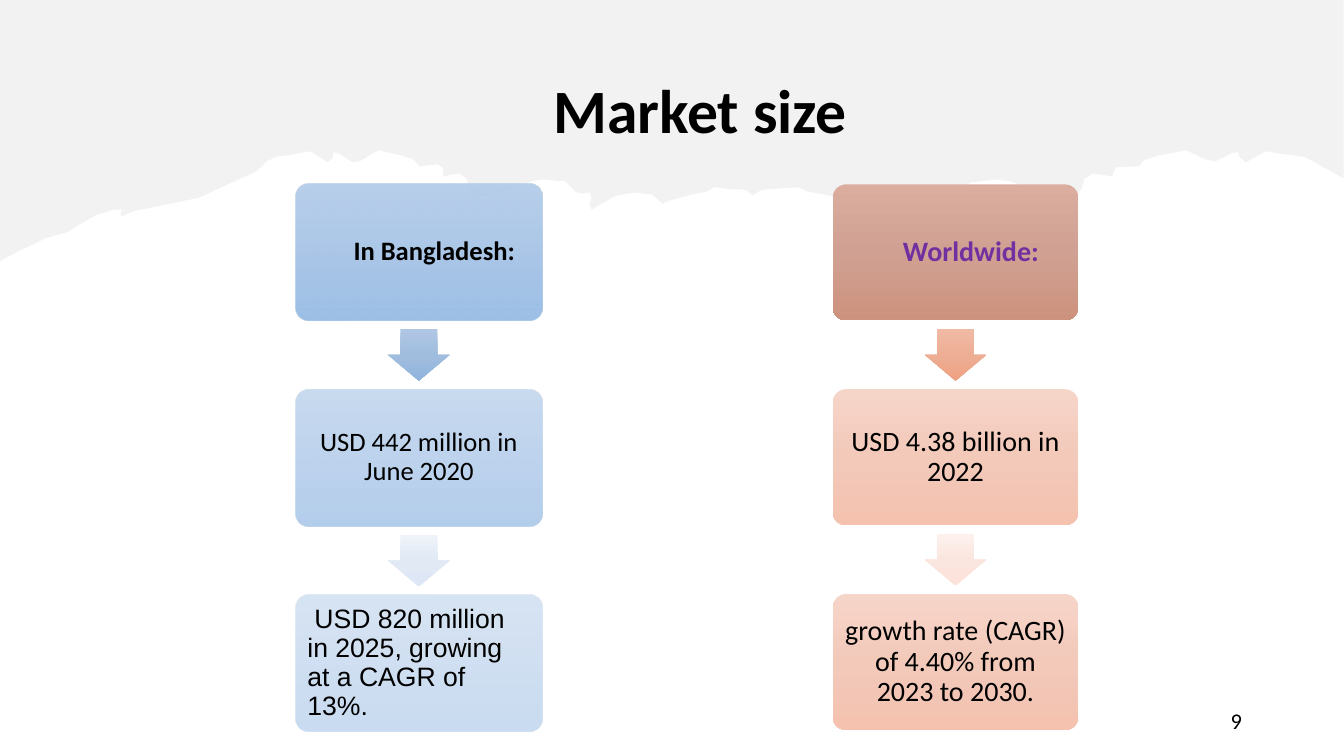
import pptx
import pptx.util
import pptx.dml.color
import pptx.enum.shapes
import pptx.enum.text
import pptx.oxml.ns
from lxml import etree

Pt = pptx.util.Pt
MSO_SHAPE = pptx.enum.shapes.MSO_SHAPE
ALIGN = pptx.enum.text.PP_ALIGN
qn = pptx.oxml.ns.qn

COLORS = {"black": "000000", "purple": "7030A0", "paper": "E7E6E6"}
BLUE = ("B1CBE9", "A3C1E5", "93B9E4")
CLAY = ("DAAD9F", "D0A192", "CD927E")
PEACH = ("F6D5C9", "F3C9BA", "F4C2AF")

INSET = 5.76
HEADING_SHIFT = 22
ARROW_WIDTH, ARROW_HEIGHT = 43.92, 36.72
TITLE = ("Market size", 44, 388.08, 44.64, 571.92, 73.44)
PAGE_NUMBER = ("9", 16, 678.24, 500.4, 216, 28.8)

COLUMNS = [
    {
        "left": 211, "top": 131.1, "width": 176.4, "height": 97.9, "step": 146.9,
        "size": 19, "heading_color": "black",
        "boxes": [
            ("In Bangladesh:", "Calibri", ALIGN.CENTER, BLUE, 90),
            ("USD 442 million in June 2020", "Calibri", ALIGN.CENTER, BLUE, 70),
            ("USD 820 million in 2025, growing at a CAGR of 13%.", "Arial", ALIGN.LEFT, BLUE, 50),
        ],
        "arrows": [("AFC7E4", "A1BDDE", "90B4DD"), ("EEF3F9", "E1E9F5", "DDE7F5")],
    },
    {
        "left": 594.7, "top": 131.7, "width": 175.7, "height": 97.2, "step": 146.3,
        "size": 20, "heading_color": "purple",
        "boxes": [
            ("Worldwide:", "Calibri", ALIGN.CENTER, CLAY, 100),
            ("USD 4.38 billion in 2022", "Calibri", ALIGN.CENTER, PEACH, 100),
            ("growth rate (CAGR) of 4.40% from 2023 to 2030.", "Calibri", ALIGN.CENTER, PEACH, 100),
        ],
        "arrows": [("F1BAA4", "EDAE95", "EFA181"), ("FDF1EE", "FBE6DF", "FCE2DA")],
    },
]

TORN_UNIT = Pt(0.72)
TORN_EDGE = [
    (0, 259), (19, 249), (36, 241), (46, 236), (65, 231), (82, 221), (96, 213), (113, 208),
    (121, 208), (120, 211), (120, 215), (134, 209), (150, 206), (198, 196), (239, 177),
    (254, 170), (261, 164), (264, 160), (269, 158), (275, 155), (286, 154), (308, 150),
    (325, 161), (330, 157), (331, 151), (336, 152), (342, 156), (350, 161), (357, 160),
    (370, 152), (376, 149), (388, 152), (397, 154), (410, 158), (416, 165), (434, 163),
    (440, 167), (440, 175), (455, 172), (463, 177), (466, 187), (471, 196), (502, 191),
    (527, 180), (538, 178), (561, 180), (571, 190), (577, 192), (585, 191), (587, 196),
    (585, 202), (587, 208), (597, 202), (611, 194), (629, 191), (647, 193), (654, 199),
    (657, 202), (664, 199), (686, 193), (701, 190), (708, 186), (713, 186), (724, 188),
    (736, 188), (741, 189), (747, 194), (754, 189), (760, 188), (787, 186), (793, 186),
    (801, 190), (818, 193), (843, 199), (851, 202), (855, 199), (864, 192), (884, 191),
    (905, 194), (921, 202), (933, 208), (934, 202), (932, 196), (934, 191), (944, 192),
    (950, 190), (963, 181), (989, 178), (1002, 180), (1030, 189), (1067, 196), (1073, 187),
    (1076, 177), (1085, 172), (1103, 175), (1107, 166), (1130, 165), (1135, 159), (1150, 154),
    (1162, 152), (1177, 149), (1183, 152), (1196, 158), (1206, 160), (1222, 152), (1228, 151),
    (1230, 156), (1236, 161), (1256, 150), (1273, 153), (1283, 154), (1295, 156), (1310, 164),
    (1328, 174), (1333, 177), (1333, 0), (0, 0),
]


def rgb(value):
    return pptx.dml.color.RGBColor.from_string(value)


def set_opacity(color, percent):
    if percent < 100:
        etree.SubElement(color, qn("a:alpha")).set("val", str(percent * 1000))


def paint_gradient(shape, colors, opacity=100):
    shape.shadow.inherit = False
    shape.line.fill.background()
    shape.fill.gradient()
    shape.fill.gradient_angle = 270
    stops = shape._element.spPr.find(".//" + qn("a:gsLst"))
    for stop in list(stops):
        stops.remove(stop)
    for index, value in enumerate(colors):
        stop = etree.SubElement(stops, qn("a:gs"))
        stop.set("pos", str(index * 50000))
        color = etree.SubElement(stop, qn("a:srgbClr"))
        color.set("val", value)
        set_opacity(color, opacity)


def write(box, text, size, font="Calibri", align=ALIGN.LEFT, color="black", bold=False, spacing=0.9):
    frame = box.text_frame
    frame.word_wrap = True
    frame.vertical_anchor = pptx.enum.text.MSO_ANCHOR.MIDDLE
    para = frame.paragraphs[0]
    para.alignment = align
    para.line_spacing = spacing
    span = para.add_run()
    span.text = text
    span.font.name = font
    span.font.size = Pt(size)
    span.font.bold = bold
    span.font.color.rgb = rgb(COLORS[color])
    return para


def add_label(page, label, **style):
    text, size, *place = label
    box = page.shapes.add_textbox(*map(Pt, place))
    write(box, text, size, **style)


def add_torn_paper(page):
    builder = page.shapes.build_freeform(*TORN_EDGE[0], scale=TORN_UNIT)
    builder.add_line_segments(TORN_EDGE[1:], close=True)
    paper = builder.convert_to_shape()
    paper.shadow.inherit = False
    paper.line.fill.background()
    paper.fill.solid()
    paper.fill.fore_color.rgb = rgb(COLORS["paper"])
    set_opacity(paper._element.spPr.find(".//" + qn("a:srgbClr")), 50)


def add_column(page, column):
    left, width, height = column["left"], column["width"], column["height"]
    for row, (text, font, align, colors, opacity) in enumerate(column["boxes"]):
        top = column["top"] + row * column["step"]
        box = page.shapes.add_shape(
            MSO_SHAPE.ROUNDED_RECTANGLE, Pt(left), Pt(top), Pt(width), Pt(height))
        box.adjustments[0] = 0.1
        paint_gradient(box, colors, opacity)
        heading = row == 0
        frame = box.text_frame
        frame.margin_left = Pt(INSET + HEADING_SHIFT * heading)
        frame.margin_right = frame.margin_top = frame.margin_bottom = Pt(INSET)
        para = write(box, text, column["size"], font, align,
                     column["heading_color"] if heading else "black", heading)
        if align == ALIGN.LEFT:
            para._p.get_or_add_pPr().set("indent", str(Pt(5)))

    gap = column["step"] - height
    for row, colors in enumerate(column["arrows"]):
        top = column["top"] + row * column["step"] + height + (gap - ARROW_HEIGHT) / 2
        arrow = page.shapes.add_shape(
            MSO_SHAPE.DOWN_ARROW, Pt(left + (width - ARROW_WIDTH) / 2), Pt(top),
            Pt(ARROW_WIDTH), Pt(ARROW_HEIGHT))
        arrow.adjustments[0] = 0.6
        arrow.adjustments[1] = 0.5
        paint_gradient(arrow, colors)


def main():
    deck = pptx.Presentation()
    deck.slide_width, deck.slide_height = Pt(960), Pt(540)
    page = deck.slides.add_slide(deck.slide_layouts[6])
    add_torn_paper(page)
    add_label(page, TITLE, bold=True)
    for column in COLUMNS:
        add_column(page, column)
    add_label(page, PAGE_NUMBER, align=ALIGN.RIGHT, spacing=1.0)
    deck.save("out.pptx")


if __name__ == "__main__":
    main()
